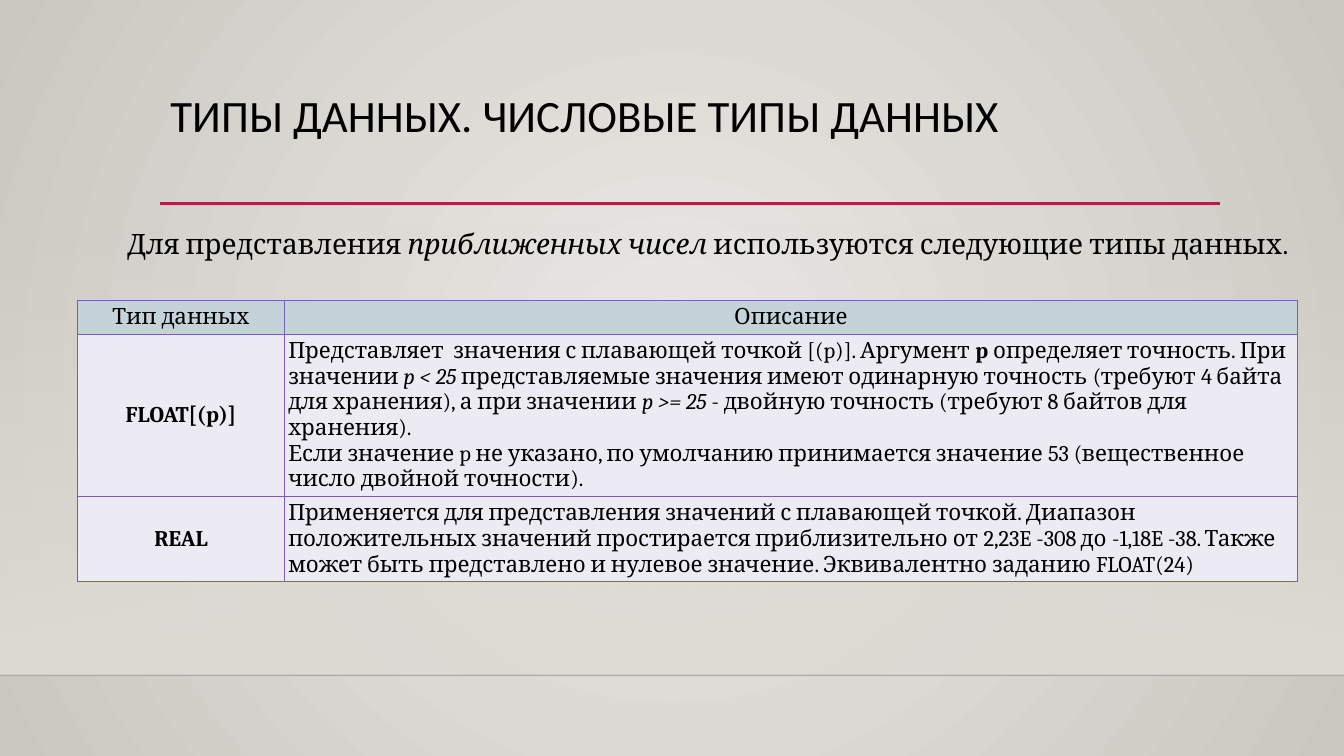
from pptx import Presentation
from pptx.dml.color import RGBColor
from pptx.enum.shapes import MSO_CONNECTOR, MSO_SHAPE
from pptx.enum.text import MSO_ANCHOR, MSO_AUTO_SIZE, PP_ALIGN
from pptx.oxml import parse_xml
from pptx.oxml.ns import nsdecls, qn
from pptx.util import Inches, Pt

WIDTH, HEIGHT = 13.33, 7.5
TITLE = "ТИПЫ ДАННЫХ. ЧИСЛОВЫЕ ТИПЫ ДАННЫХ"
# A run is (text, style), where style is "", "b" or "i".
INTRO = [("Для представления\u00a0", ""), ("приближенных чисел", "i"),
         ("\u00a0используются следующие типы данных.", "")]
# A cell is a list of paragraphs, a paragraph is a list of runs.
ROWS = [
    ([[("Тип данных", "")]], [[("Описание", "")]]),
    ([[("FLOAT[(p)]", "b")]],
     [[("Представляет  значения с плавающей точкой [(p)]. Аргумент", ""),
       (" p ", "b"),
       ("определяет точность. При значении ", ""),
       ("p < 25 ", "i"),
       ("представляемые значения имеют одинарную точность (требуют 4 байта "
        "для хранения), а при значении ", ""),
       ("p >= 25 ", "i"),
       ("- двойную точность (требуют 8 байтов для хранения).", "")],
      [("Если значение p не указано, по умолчанию принимается значение 53 "
        "(вещественное число двойной точности).", "")]]),
    ([[("REAL", "b")]],
     [[("Применяется для представления значений с плавающей точкой. Диапазон "
        "положительных значений простирается приблизительно от 2,23E -308 до "
        "-1,18E -38. Также может быть представлено и нулевое значение. "
        "Эквивалентно заданию FLOAT(24)", "")]]),
]
COLUMN_WIDTHS = (2.05, 10.05)
ROW_HEIGHTS = (0.33, 1.6, 0.84)
TABLE_LEFT, TABLE_TOP = 0.77, 2.98
BAND_TOP, BAND_BOTTOM = 2.21, 6.7
RULE_Y = 2.02


def color(value):
    return RGBColor.from_string(value)


def place(shape, left, top, width, height):
    shape.left, shape.top = Inches(left), Inches(top)
    shape.width, shape.height = Inches(width), Inches(height)


def add_runs(paragraph, runs, size, font="Cambria"):
    for text, style in runs:
        run = paragraph.add_run()
        run.text = text
        run.font.name, run.font.size = font, Pt(size)
        run.font.bold, run.font.italic = style == "b", style == "i"
        run.font.color.rgb = color("000000")


def gradient(stops, direction):
    """Return a gradient fill from (position, colour, opacity) stops."""
    marks = "".join(
        f'<a:gs pos="{position * 1000}"><a:srgbClr val="{value}">'
        f'<a:alpha val="{opacity * 1000}"/></a:srgbClr></a:gs>'
        for position, value, opacity in stops)
    return (f'<a:gradFill {nsdecls("a")} rotWithShape="1">'
            f'<a:gsLst>{marks}</a:gsLst>{direction}</a:gradFill>')


def add_line(shapes, left, right, y, value, width, opacity=100):
    line = shapes.add_connector(MSO_CONNECTOR.STRAIGHT, Inches(left), Inches(y),
                                Inches(right), Inches(y))
    line.line.color.rgb = color(value)
    line.line.width = Pt(width)
    properties = line.element.spPr
    rgb = next(properties.iter(qn("a:srgbClr")))
    rgb.append(parse_xml(f'<a:alpha {nsdecls("a")} val="{opacity * 1000}"/>'))
    properties.append(parse_xml(f'<a:effectLst {nsdecls("a")}/>'))


def add_borders(cell, value, width):
    properties = cell._tc.get_or_add_tcPr()
    for index, side in enumerate("LRTB"):
        properties.insert(index, parse_xml(
            f'<a:ln{side} {nsdecls("a")} w="{Pt(width)}"><a:solidFill>'
            f'<a:srgbClr val="{value}"/></a:solidFill></a:ln{side}>'))


def add_background(slide):
    circle = ('<a:path path="circle"><a:fillToRect l="50000" t="50000" '
              'r="50000" b="50000"/></a:path>')
    fill = gradient([(0, "ECEAE7", 100), (100, "CAC7C1", 100)], circle)
    slide.element.cSld.insert(0, parse_xml(
        f'<p:bg {nsdecls("p", "a")}><p:bgPr>{fill}<a:effectLst/></p:bgPr></p:bg>'))

    band = slide.shapes.add_shape(
        MSO_SHAPE.RECTANGLE, 0, Inches(BAND_TOP), Inches(WIDTH),
        Inches(BAND_BOTTOM - BAND_TOP))
    band.shadow.inherit = False
    band.line.fill.background()
    fill = gradient([(0, "DFDBD5", 0), (100, "DFDBD5", 100)],
                    '<a:lin ang="5400000" scaled="0"/>')
    band.element.spPr.find(qn("a:prstGeom")).addnext(parse_xml(fill))
    band.element.getparent().insert(2, band.element)  # behind the text
    add_line(slide.shapes, 0, WIDTH, BAND_BOTTOM, "000001", 1, 20)
    add_line(slide.shapes, 1.59, 12.1, RULE_Y, "B71E42", 2.5)


def add_headings(slide):
    title, body = slide.shapes.title, slide.placeholders[1]
    place(title, 1.59, 0.88, 10.5, 1.15)
    place(body, 0.66, 2.2, 12.67, 0.78)
    for shape in (title, body):
        frame = shape.text_frame
        frame.word_wrap, frame.auto_size = True, MSO_AUTO_SIZE.NONE
        frame.vertical_anchor = MSO_ANCHOR.TOP

    heading = title.text_frame.paragraphs[0]
    heading.alignment, heading.line_spacing = PP_ALIGN.LEFT, 0.9
    add_runs(heading, [(TITLE, "")], 32, "Calibri")

    intro = body.text_frame.paragraphs[0]
    intro.alignment, intro.space_before = PP_ALIGN.JUSTIFY, Pt(0)
    properties = intro._p.get_or_add_pPr()
    properties.set("marL", "0")
    properties.set("indent", str(Inches(0.5)))
    properties.append(parse_xml(f'<a:buNone {nsdecls("a")}/>'))
    add_runs(intro, INTRO, 20)


def add_types_table(slide):
    table = slide.shapes.add_table(
        len(ROWS), len(COLUMN_WIDTHS), Inches(TABLE_LEFT), Inches(TABLE_TOP),
        Inches(sum(COLUMN_WIDTHS)), Inches(sum(ROW_HEIGHTS))).table
    for column, width in zip(table.columns, COLUMN_WIDTHS):
        column.width = Inches(width)
    for row, height in zip(table.rows, ROW_HEIGHTS):
        row.height = Inches(height)
    for row_index, row in enumerate(ROWS):
        for column_index, paragraphs in enumerate(row):
            cell = table.cell(row_index, column_index)
            cell.margin_left = cell.margin_right = Inches(0.04)
            cell.margin_top = cell.margin_bottom = Inches(0.04)
            cell.vertical_anchor = MSO_ANCHOR.MIDDLE
            cell.fill.solid()
            cell.fill.fore_color.rgb = color("ECEAF2" if row_index else "C3D3D9")
            add_borders(cell, "795FAF", 1)
            centred = row_index == 0 or column_index == 0
            frame = cell.text_frame
            for index, runs in enumerate(paragraphs):
                paragraph = frame.add_paragraph() if index else frame.paragraphs[0]
                paragraph.alignment = PP_ALIGN.CENTER if centred else PP_ALIGN.LEFT
                add_runs(paragraph, runs, 16)


def main():
    presentation = Presentation()
    presentation.slide_width = Inches(WIDTH)
    presentation.slide_height = Inches(HEIGHT)
    slide = presentation.slides.add_slide(presentation.slide_layouts[1])
    add_background(slide)
    add_headings(slide)
    add_types_table(slide)
    presentation.save("out.pptx")


if __name__ == "__main__":
    main()
